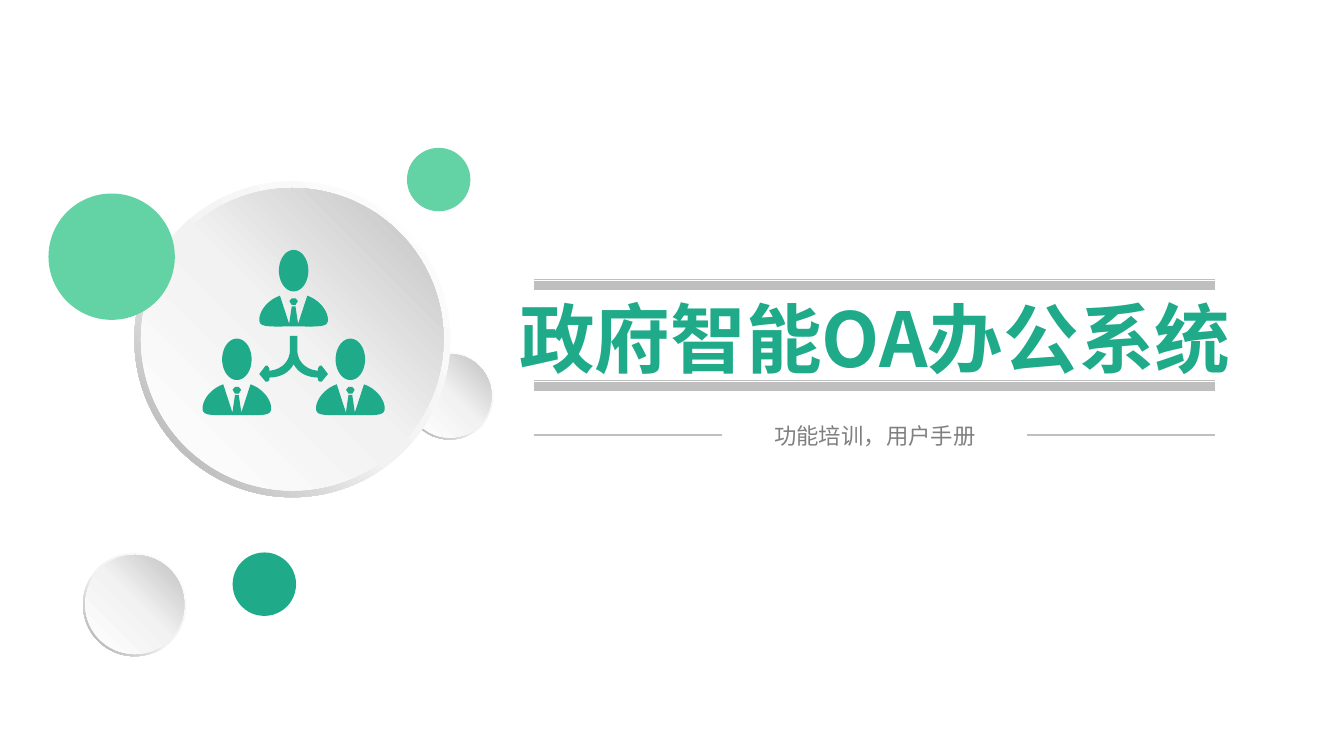
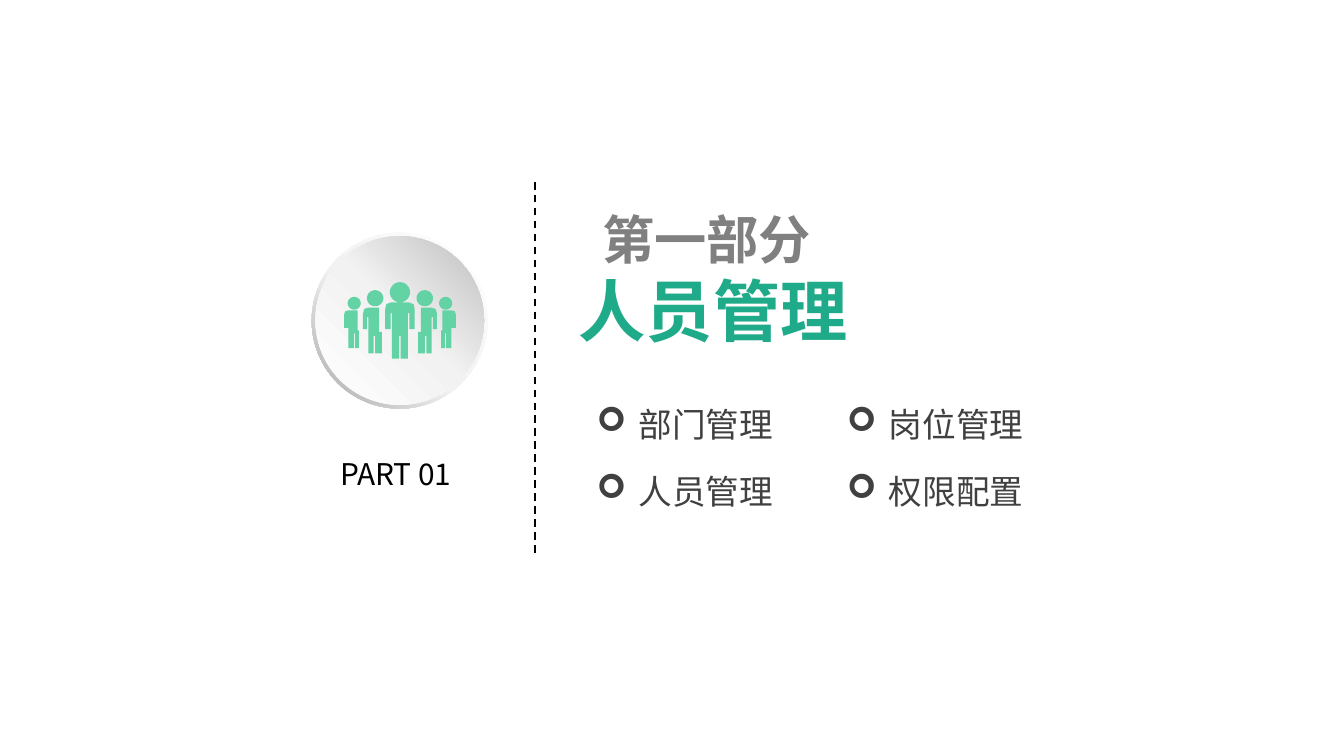
from lxml import etree
from pptx import Presentation
from pptx.dml.color import RGBColor
from pptx.enum.dml import MSO_LINE
from pptx.enum.shapes import MSO_CONNECTOR, MSO_SHAPE
from pptx.enum.text import MSO_AUTO_SIZE, PP_ALIGN
from pptx.oxml.ns import qn
from pptx.util import Pt
from math import cos, pi, sin

HUE = {"green": "1FAA89", "mint": "63D2A4", "rule": "BFBFBF", "gray": "808080",
       "dark": "404040", "black": "000000"}
FONT = "Noto Sans CJK SC"
# Gradient stops (percent, colour) and angle in degrees
RIM = ([(0, "FFFFFF"), (55, "F2F2F2"), (100, "A6A6A6")], 135)
FACE = ([(0, "FFFFFF"), (51, "F2F2F2"), (100, "BFBFBF")], 315)
BULLET = "➢"


def paint(shape, hue):
    shape.shadow.inherit = False
    shape.line.fill.background()
    shape.fill.solid()
    shape.fill.fore_color.rgb = RGBColor.from_string(HUE[hue])


def shade(shape, blend):
    """Fill a shape with a linear gradient."""
    stops, angle = blend
    shape.shadow.inherit = False
    shape.line.fill.background()
    shape.fill.gradient()
    grad = shape.fill._xPr.find(qn("a:gradFill"))
    for child in list(grad):
        grad.remove(child)
    band = etree.SubElement(grad, qn("a:gsLst"))
    for pos, color in stops:
        stop = etree.SubElement(band, qn("a:gs"), pos=str(pos * 1000))
        etree.SubElement(stop, qn("a:srgbClr"), val=color)
    etree.SubElement(grad, qn("a:lin"), ang=str(angle * 60000), scaled="0")


def disc(slide, x, y, size, hue=None):
    """Draw a rim with a face inside it, plain if a hue is given."""
    group = slide.shapes.add_group_shape()
    inset = size * 0.021
    parts = ((MSO_SHAPE.DONUT, 0, RIM), (MSO_SHAPE.OVAL, inset, FACE))
    for kind, gap, blend in parts:
        side = size - 2 * gap
        part = group.shapes.add_shape(kind, Pt(x + gap), Pt(y + gap), Pt(side), Pt(side))
        if kind == MSO_SHAPE.DONUT:
            part.adjustments[0] = 0.049
        if hue:
            paint(part, hue)
        else:
            shade(part, blend)


def line(slide, x1, y1, x2, y2, hue, width, dash=None):
    rule = slide.shapes.add_connector(MSO_CONNECTOR.STRAIGHT, Pt(x1), Pt(y1), Pt(x2), Pt(y2))
    rule.line.color.rgb = RGBColor.from_string(HUE[hue])
    rule.line.width = Pt(width)
    if dash:
        rule.line.dash_style = dash
    etree.SubElement(rule._element.spPr, qn("a:effectLst"))


def style(para, size, hue, bold=False, font=FONT):
    for run in para.runs:
        run.font.size = Pt(size)
        run.font.bold = bold
        run.font.name = font
        run.font.color.rgb = RGBColor.from_string(HUE[hue])
        east = etree.SubElement(run._r.get_or_add_rPr(), qn("a:ea"))
        east.set("typeface", FONT)


def label(slide, box, text, size, hue, bold=False, font=FONT, align=None, wrap=True, pad=True):
    shape = slide.shapes.add_textbox(*map(Pt, box))
    frame = shape.text_frame
    frame.word_wrap = wrap
    frame.auto_size = MSO_AUTO_SIZE.SHAPE_TO_FIT_TEXT
    if not pad:
        frame.margin_left = frame.margin_right = frame.margin_top = frame.margin_bottom = 0
    frame.text = text
    para = frame.paragraphs[0]
    para.alignment = align
    style(para, size, hue, bold, font)
    return frame


def indent(para, left, first=0, mark=None):
    props = para._p.get_or_add_pPr()
    props.set("marL", str(Pt(left)))
    props.set("indent", str(Pt(first)))
    if mark:
        etree.SubElement(props, qn("a:buFont"), typeface="Wingdings")
        etree.SubElement(props, qn("a:buChar"), char=mark)


def oval(x, y, rx, ry, count=40):
    turns = [2 * pi * i / count for i in range(count)]
    return [(x + rx * cos(t), y + ry * sin(t)) for t in turns]


def curve(a, b, c, d, count=10):
    """Points along a cubic Bezier curve."""
    steps = [i / count for i in range(count + 1)]
    return [tuple((1 - t) ** 3 * p + 3 * t * (1 - t) ** 2 * q + 3 * t * t * (1 - t) * r + t ** 3 * s
                  for p, q, r, s in zip(a, b, c, d)) for t in steps]


def move(loop, x, y):
    return [(px + x, py + y) for px, py in loop]


def flip(loop, axis=0):
    return [(2 * axis - x, y) for x, y in loop]


def both(half):
    """Close a right half with its mirror image."""
    return half + flip(half)[::-1]


def icon(slide, x, y, loops, hue):
    """Draw closed outlines as one shape, in hundredths of a point."""
    loops = [[(100 * (px + x), 100 * (py + y)) for px, py in loop] for loop in loops]
    build = slide.shapes.build_freeform(*loops[0][0], scale=127)
    for i, loop in enumerate(loops):
        if i:
            build.move_to(*loop[0])
        build.add_line_segments(loop[1:], close=True)
    paint(build.convert_to_shape(), hue)


def team(slide, x, y):
    """Three busts, the upper one joined to the others by a forked arrow."""
    coat = ([(0, 30.2), (1, 30.2), (2.4, 39.6), (7.3, 24.5)]
            + curve((7.3, 24.5), (13.5, 26.6), (18.4, 32.4), (18.4, 37.4))
            + curve((18.4, 37.4), (18.4, 41.6), (14, 41), (0, 41)))
    knot = [(1, 25.9), (2.3, 27.4), (1, 29.5)]
    bust = [oval(0, 11.1, 7.9, 11.1), both(knot), both(coat)]
    fork = ([(2, 46), (2, 54)] + curve((2, 54), (2, 56), (3, 63.5), (13, 64.8))
            + [(13, 63.4), (14, 62), (15, 62), (18.4, 66.5), (15, 70.6), (14, 70.6),
               (13, 69.8), (13, 68.4)]
            + curve((13, 68.4), (6, 68.2), (2, 65), (0, 61.2)))
    seats = ((48.6, 0), (18.2, 47.5), (79, 47.5))
    loops = [move(loop, *seat) for seat in seats for loop in bust]
    icon(slide, x, y, loops + [move(both(fork), 48.6, 0)], "green")


def crowd(slide, x, y):
    """Five standing figures, symmetric about the middle one."""
    mid = 29.9
    outer = [(7.9, 25.9), (7.9, 35.3), (5.8, 35.3), (5.8, 27.4), (5.2, 27.4), (5.2, 35.3),
             (2.3, 35.3), (2.3, 24.5), (0, 24.5), (0, 17.3), (0.5, 15.7), (2.2, 15.1),
             (7.2, 15.1), (7.2, 25.9)]
    inner = [(20.2, 26.6), (20.2, 38.2), (16.6, 38.2), (16.6, 28.8), (15.8, 28.8), (15.8, 38.2),
             (13, 38.2), (13, 18.7), (12.2, 18.7), (12.2, 25.2), (10.1, 25.2), (10.1, 16.6),
             (10.8, 14.4), (12.7, 13.7), (18.7, 13.7), (18.7, 26.6)]
    lead = [(0.4, 28.8), (0.4, 41), (4.3, 41), (4.3, 16.6), (5, 16.6), (5, 25.2),
            (7.9, 25.2), (7.9, 14.4), (7.3, 11.8), (4.7, 10.8)]
    side = [outer, oval(5.4, 11.3, 3.5, 3.4), inner, oval(16.6, 8.6, 4.4, 4.3)]
    loops = side + [flip(loop, mid) for loop in side]
    loops += [oval(mid, 5.4, 5.4, 5.4), move(both(lead), mid, 0)]
    icon(slide, x, y, loops, "mint")


def discs(slide, x, y):
    """Cover art: plain and shaded discs around the team icon."""
    spots = ((192, 0, 34, "mint"), (191.5, 109.5, 46.8, None), (46, 18, 169.2, None),
             (0, 24.5, 67.7, "mint"), (18.5, 217, 55.4, None), (98.6, 216.8, 34, "green"))
    for dx, dy, size, hue in spots:
        disc(slide, x + dx, y + dy, size, hue)
    team(slide, x + 82.7, y + 54.7)


def banner(slide, x, y, w):
    """Cover title between two double rules, with the subtitle below."""
    for top in (y, y + 54):
        line(slide, x, top, x + w, top, "rule", 0.5)
        line(slide, x, top + 3, x + w, top + 3, "rule", 4.5)
    label(slide, (x - 44.8, y + 2.8, 455, 56), "政府智能OA办公系统", 40.5, "green",
          bold=True, align=PP_ALIGN.CENTER)
    for left in (x, x + w - 101):
        line(slide, left, y + 83, left + 101, y + 83, "rule", 1)
    label(slide, (x + 120.8, y + 72.7, 124, 21.6), "功能培训，用户手册", 12, "gray",
          font="Arial", align=PP_ALIGN.CENTER, wrap=False)


def badge(slide, x, y, part):
    disc(slide, x, y, 94.3)
    crowd(slide, x + 17.4, y + 26.6)
    label(slide, (x + 15.2, y + 119.5, 71.3, 19.4), part, 16, "black", pad=False)


def heads(slide, x, y, part, title):
    frame = label(slide, (x, y, 160, 85), part, 28, "gray", bold=True, wrap=False)
    indent(frame.paragraphs[0], 12.5)
    para = frame.add_paragraph()
    para.text = title
    para.alignment = PP_ALIGN.CENTER
    style(para, 36, "green", bold=True)


def topics(slide, x, y, names, cols=2):
    for i, name in enumerate(names):
        row, col = divmod(i, cols)
        frame = label(slide, (x + col * 134, y + row * 36, 158.4, 21.6), name, 18, "dark",
                      pad=False)
        indent(frame.paragraphs[0], 22.5, -22.5, BULLET)


def cover(deck):
    slide = deck.slides.add_slide(deck.slide_layouts[6])
    discs(slide, 26, 79.2)
    banner(slide, 286, 150, 365)


def section(deck, part, number, title, names):
    slide = deck.slides.add_slide(deck.slide_layouts[6])
    heads(slide, 303, 107.3, number, title)
    line(slide, 286.5, 296, 286.5, 96.5, "black", 1, MSO_LINE.DASH)
    badge(slide, 167, 124.6, part)
    topics(slide, 319.7, 216.2, names)


def main():
    deck = Presentation()
    deck.slide_width, deck.slide_height = Pt(720), Pt(405)
    cover(deck)
    section(deck, "PART 01", "第一部分", "人员管理",
            ["部门管理", "岗位管理", "人员管理", "权限配置"])
    deck.save("out.pptx")


if __name__ == "__main__":
    main()
